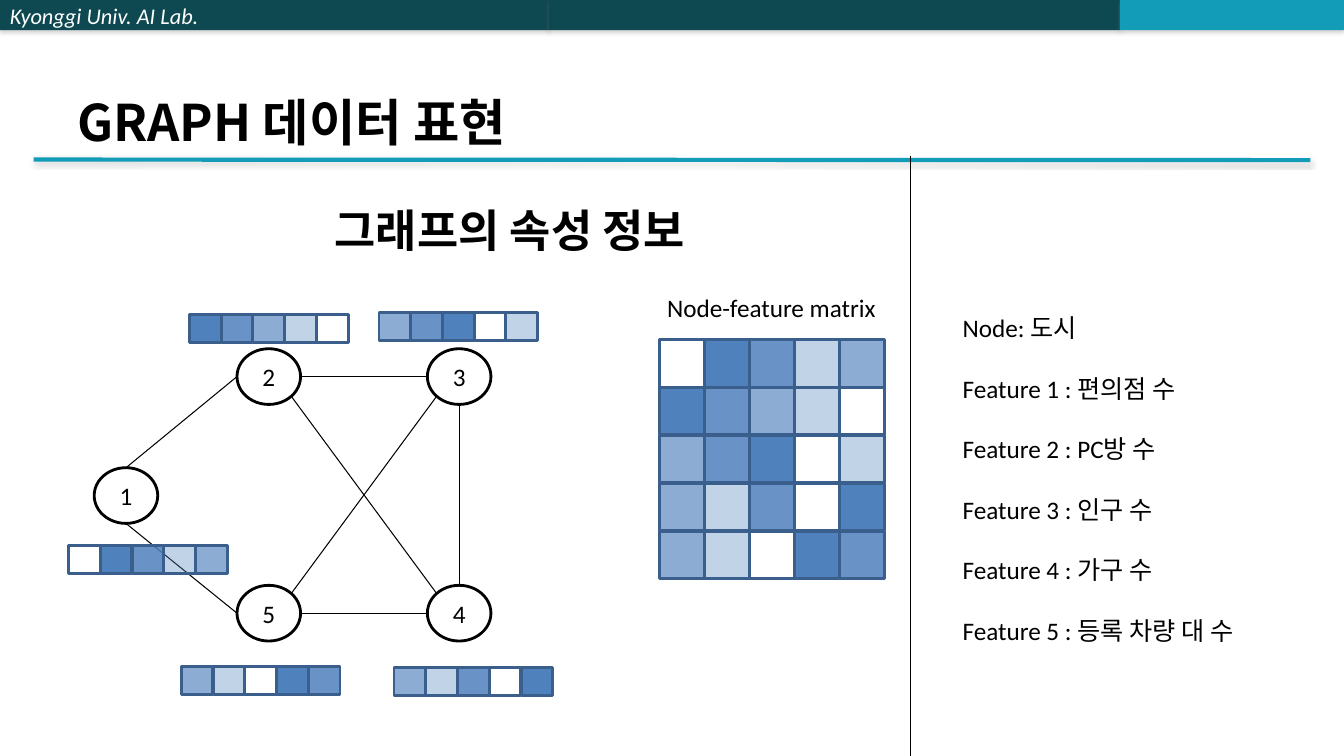
import lxml.etree
import pptx
import pptx.util
import pptx.dml.color
import pptx.enum.shapes
import pptx.enum.text
import pptx.oxml.ns

Pt = pptx.util.Pt
qn = pptx.oxml.ns.qn
add = lxml.etree.SubElement
color = pptx.dml.color.RGBColor.from_string
forms = pptx.enum.shapes.MSO_SHAPE
align = pptx.enum.text.PP_ALIGN
anchor = pptx.enum.text.MSO_ANCHOR
sizing = pptx.enum.text.MSO_AUTO_SIZE

deck = pptx.Presentation()
deck.slide_width, deck.slide_height = Pt(960), Pt(540)
slide = deck.slides.add_slide(deck.slide_layouts[1])
shapes = slide.shapes


def block(form, x, y, w, h, fill, edge=None, alpha=100):
    shape = shapes.add_shape(form, Pt(x), Pt(y), Pt(w), Pt(h))
    shape.shadow.inherit = False
    if alpha:
        shape.fill.solid()
        shape.fill.fore_color.rgb = color(fill)
        tone = shape.element.spPr.find(qn("a:solidFill"))[0]
        if alpha < 100:
            add(tone, qn("a:alpha"), val=str(alpha * 1000))
    else:
        shape.fill.background()
    if edge:
        shape.line.color.rgb = color(edge)
        shape.line.width = Pt(2)
    else:
        shape.line.fill.background()
    return shape


def rule(x1, y1, x2, y2, tint="000000", width=0.75):
    link = shapes.add_connector(
        pptx.enum.shapes.MSO_CONNECTOR.STRAIGHT, Pt(x1), Pt(y1), Pt(x2), Pt(y2))
    link.line.color.rgb = color(tint)
    link.line.width = Pt(width)
    add(link.element.spPr, qn("a:effectLst"))
    return link


bars = []
for x, w, tint in [(0, 392, "0E4851"), (392, 408, "0E4851"), (800, 160, "139CB7")]:
    bars.append(block(forms.RECTANGLE, x, 0, w, 21.6, tint))
bars.append(rule(24, 114, 936, 114.4, "139CB7", 3))
for bar in bars:
    glow = add(bar.element.spPr.find(qn("a:effectLst")), qn("a:outerShdw"),
               blurRad=str(Pt(3.1)), dist=str(Pt(1.8)), dir="5400000", rotWithShape="0")
    add(add(glow, qn("a:srgbClr"), val="808080"), qn("a:alpha"), val="35000")

brand = bars[0].text_frame
brand.text = "Kyonggi Univ. AI Lab."
brand.vertical_anchor = anchor.MIDDLE
brand.paragraphs[0].alignment = align.LEFT
font = brand.paragraphs[0].runs[0].font
font.name, font.size, font.italic = "Calibri", Pt(16), True
font.color.rgb = color("FFFFFF")

title = shapes.title
title.left, title.top, title.width, title.height = Pt(48), Pt(21.6), Pt(864), Pt(90)
frame = title.text_frame
frame.text = "GRAPH 데이터 표현"
frame.auto_size = sizing.NONE
frame.vertical_anchor = anchor.BOTTOM
frame.paragraphs[0].alignment = align.LEFT
font = frame.paragraphs[0].runs[0].font
font.name, font.size, font.bold = "Noto Sans CJK KR", Pt(36), True
font.color.rgb = color("000000")

ramp = {
    1: [0, 100, 85, 35, 65],
    2: [100, 85, 65, 35, 0],
    3: [65, 85, 100, 0, 35],
    4: [65, 35, 85, 0, 100],
    5: [65, 35, 0, 100, 85],
}
nodes = {1: (90, 354), 2: (192, 269), 3: (328, 269), 4: (328, 438), 5: (192, 438)}
wide, high = 45.4, 39.8
for name, (x, y) in nodes.items():
    node = block(forms.OVAL, x - wide / 2, y - high / 2, wide, high, "FFFFFF", "000000")
    frame = node.text_frame
    frame.text = str(name)
    frame.vertical_anchor = anchor.MIDDLE
    frame.paragraphs[0].alignment = align.CENTER
    font = frame.paragraphs[0].runs[0].font
    font.name, font.size = "Calibri", Pt(18)
    font.color.rgb = color("000000")

diag = 0.71
edges = [
    (1, 0, -1, 2, -1, 0), (1, 0, 1, 5, -1, 0), (4, 0, -1, 3, 0, 1),
    (5, diag, -diag, 3, -diag, diag), (4, -diag, -diag, 2, diag, diag),
    (3, -1, 0, 2, 1, 0), (4, -1, 0, 5, 1, 0),
]
for start, sx, sy, end, ex, ey in edges:
    (x1, y1), (x2, y2) = nodes[start], nodes[end]
    rule(x1 + sx * wide / 2, y1 + sy * high / 2, x2 + ex * wide / 2, y2 + ey * high / 2)

strips = {1: (49, 389.5), 2: (135.4, 224.6), 3: (270.7, 223.2), 4: (281.5, 476.6), 5: (129.6, 476)}
grids = [(*strips[name], 22.7, 22.5, 20, name) for name in ramp]
grids += [(470.9, 242.6 + 34.2 * (name - 1), 32.2, 32.4, 33.9, name) for name in ramp]
for left, top, step, w, h, name in grids:
    for col, alpha in enumerate(ramp[name]):
        block(forms.RECTANGLE, left + col * step, top, w, h, "4F81BD", "3A5F8C", alpha)

labels = [
    ("Node-feature matrix", 440.6, 205.2, 221, 29, 18, False),
    ("그래프의 속성 정보", 191.5, 141.1, 345.6, 46, 32, True),
]
for text, x, y, w, h, size, bold in labels:
    frame = shapes.add_textbox(Pt(x), Pt(y), Pt(w), Pt(h)).text_frame
    frame.word_wrap = True
    frame.text = text
    frame.paragraphs[0].alignment = align.CENTER
    font = frame.paragraphs[0].runs[0].font
    font.name, font.size, font.bold = "Calibri", Pt(size), bold
    font.color.rgb = color("000000")

rule(650.2, 111.6, 650.2, 540)

body = slide.placeholders[1]
body.left, body.top, body.width, body.height = Pt(680.4), Pt(219.6), Pt(260.6), Pt(247)
frame = body.text_frame
frame.auto_size = sizing.NONE
facts = ["Node: 도시", "Feature 1 : 편의점 수", "Feature 2 : PC방 수",
         "Feature 3 : 인구 수", "Feature 4 : 가구 수", "Feature 5 : 등록 차량 대 수"]
frame.text = "\n".join(facts)
for row, para in enumerate(frame.paragraphs):
    para.space_before = Pt(21.6 if row else 0)
    props = para._p.get_or_add_pPr()
    props.set("marL", "0")
    props.set("indent", "0")
    add(props, qn("a:buNone"))
    font = para.runs[0].font
    font.name, font.size = "Calibri", Pt(18)
    font.color.rgb = color("000000")

deck.save("out.pptx")
